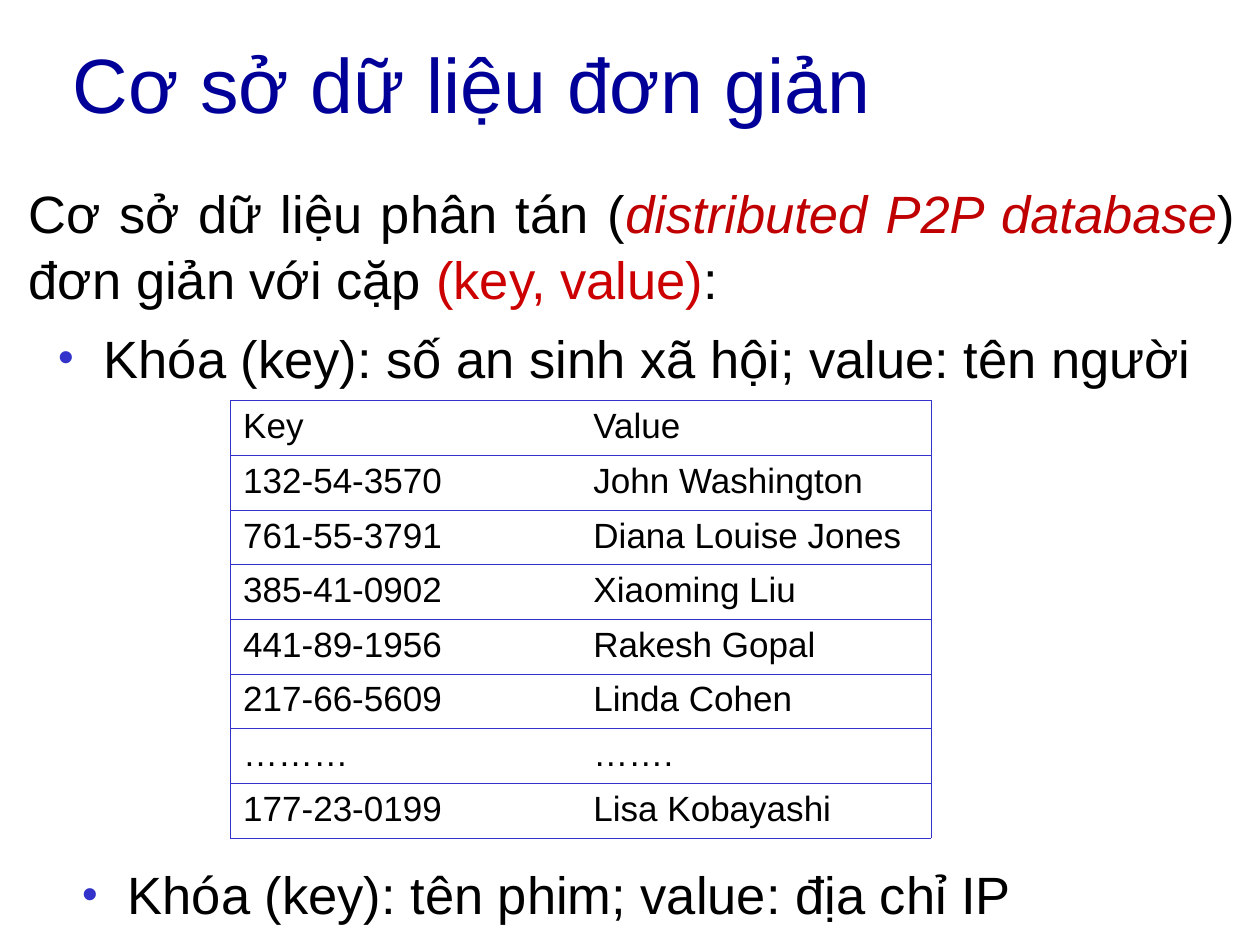
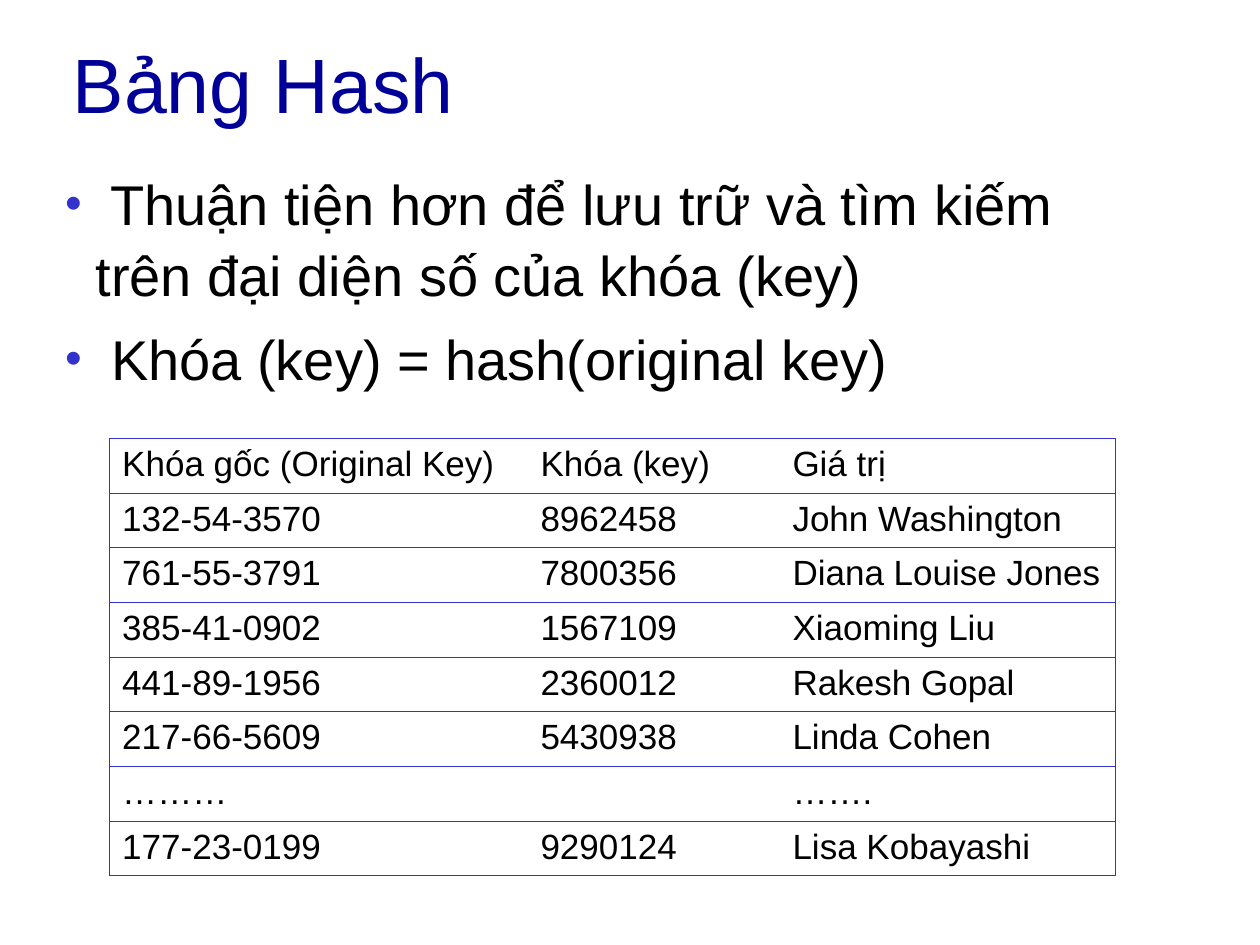
from lxml.etree import SubElement
from pptx import Presentation
from pptx.dml.color import RGBColor
from pptx.enum.text import MSO_ANCHOR, PP_ALIGN
from pptx.oxml.ns import qn
from pptx.util import Inches, Pt

UNIT = Inches(0.1)
FONT = "Arial"
BLACK, WHITE, NAVY = "000000", "FFFFFF", "000099"
BLUE, RED, DARK = "3333CC", "CC0000", "C00000"
ROW = 4.34
KEYS = ["132-54-3570", "761-55-3791", "385-41-0902", "441-89-1956",
        "217-66-5609", "………", "177-23-0199"]
NAMES = ["John Washington", "Diana Louise Jones", "Xiaoming Liu",
         "Rakesh Gopal", "Linda Cohen", "…….", "Lisa Kobayashi"]
CODES = ["8962458", "7800356", "1567109", "2360012", "5430938", "", "9290124"]


def tint(code):
    """Turn a hex string into a colour."""
    return RGBColor.from_string(code)


def grid(*cells):
    """Turn steps on a grid of 100 columns by 75 rows into lengths."""
    return [round(cell * UNIT) for cell in cells]


def style(para, size, color=BLACK):
    """Set the font of a paragraph."""
    font = para.font
    font.name, font.size = FONT, Pt(size)
    font.color.rgb = tint(color)


def frame(slide, *area):
    """Add a wrapping text box and return its text frame."""
    text = slide.shapes.add_textbox(*grid(*area)).text_frame
    text.word_wrap = True
    return text


def title(slide, words):
    """Add the slide title."""
    text = frame(slide, 4.8, 0.3, 90, 12.5)
    text.vertical_anchor = MSO_ANCHOR.MIDDLE
    para = text.paragraphs[0]
    para.text = words
    style(para, 44, NAVY)


def bullet(para, left):
    """Give a paragraph a small blue bullet and a hanging indent."""
    props = para._p.get_or_add_pPr()
    props.set("marL", str(Inches(left)))
    props.set("indent", str(-Inches(0.24)))
    color = SubElement(props, qn("a:buClr"))
    SubElement(color, qn("a:srgbClr"), val=BLUE)
    SubElement(props, qn("a:buSzPct"), val="85000")
    SubElement(props, qn("a:buFont"), typeface=FONT)
    SubElement(props, qn("a:buChar"), char="•")


def body(slide, area, size, items, left, align=PP_ALIGN.LEFT):
    """Add paragraphs: a string is a bullet, a list holds coloured parts."""
    text = frame(slide, *area)
    for pos, item in enumerate(items):
        para = text.add_paragraph() if pos else text.paragraphs[0]
        para.alignment = align
        para.line_spacing = 1.05
        para.space_before = Pt(size / 4 if pos else 0)
        if isinstance(item, str):
            bullet(para, left)
            para.text = " " + item
        else:
            for words, color, slant in item:
                run = para.add_run()
                run.text = words
                run.font.color.rgb = tint(color)
                run.font.italic = slant
        style(para, size)


def edge(cell, side, shown):
    """Draw or hide one border of a cell."""
    line = SubElement(cell._tc.get_or_add_tcPr(), qn("a:ln" + side),
                      w=str(Pt(0.45)))
    if shown:
        fill = SubElement(line, qn("a:solidFill"))
        SubElement(fill, qn("a:srgbClr"), val=BLUE)
    else:
        SubElement(line, qn("a:noFill"))


def table(slide, left, top, widths, heads, *lists):
    """Add a table with ruled rows and an outer frame."""
    rows = [heads, *zip(*lists)]
    area = grid(left, top, sum(widths), ROW * len(rows))
    sheet = slide.shapes.add_table(len(rows), len(widths), *area).table
    sheet.first_row = sheet.horz_banding = False
    for col, width in zip(sheet.columns, grid(*widths)):
        col.width = width
    last = len(widths) - 1
    for y, row in enumerate(rows):
        for x, words in enumerate(row):
            cell = sheet.cell(y, x)
            cell.text = words
            style(cell.text_frame.paragraphs[0], 20)
            sides = {"L": x == 0, "R": x == last, "T": True, "B": True}
            for side, shown in sides.items():
                edge(cell, side, shown)
            cell.fill.solid()
            cell.fill.fore_color.rgb = tint(WHITE)


def simple(slide):
    """Build the slide on the simple database."""
    title(slide, "Cơ sở dữ liệu đơn giản")
    table(slide, 18.3, 31.8, [27.8, 27.8], ["Key", "Value"], KEYS, NAMES)
    intro = [("Cơ sở dữ liệu phân tán (", BLACK, False),
             ("distributed P2P database", DARK, True),
             (") đơn giản với cặp ", BLACK, False),
             ("(key, value)", RED, False),
             (":", BLACK, False)]
    body(slide, (1.3, 13.6, 97.7, 17.5), 30,
         [intro, "Khóa (key): số an sinh xã hội; value: tên người"],
         0.48, PP_ALIGN.JUSTIFY)
    body(slide, (3.2, 67.7, 95.8, 6), 30,
         ["Khóa (key): tên phim; value: địa chỉ IP"], 0.48)


def hashed(slide):
    """Build the slide on the hash table."""
    title(slide, "Bảng Hash")
    table(slide, 8.7, 34.8, [33.2, 20, 26.6],
          ["Khóa gốc (Original Key)", "Khóa (key)", "Giá trị"],
          KEYS, CODES, NAMES)
    body(slide, (4.2, 12.7, 88.3, 19), 32,
         ["Thuận tiện hơn để lưu trữ và tìm kiếm trên đại diện số "
          "của khóa (key)",
          "Khóa (key) = hash(original key)"], 0.24)


def main():
    """Build both slides and save the file."""
    deck = Presentation()
    deck.slide_width, deck.slide_height = grid(100, 75)
    for build in (simple, hashed):
        build(deck.slides.add_slide(deck.slide_layouts[6]))
    deck.save("out.pptx")


if __name__ == "__main__":
    main()
